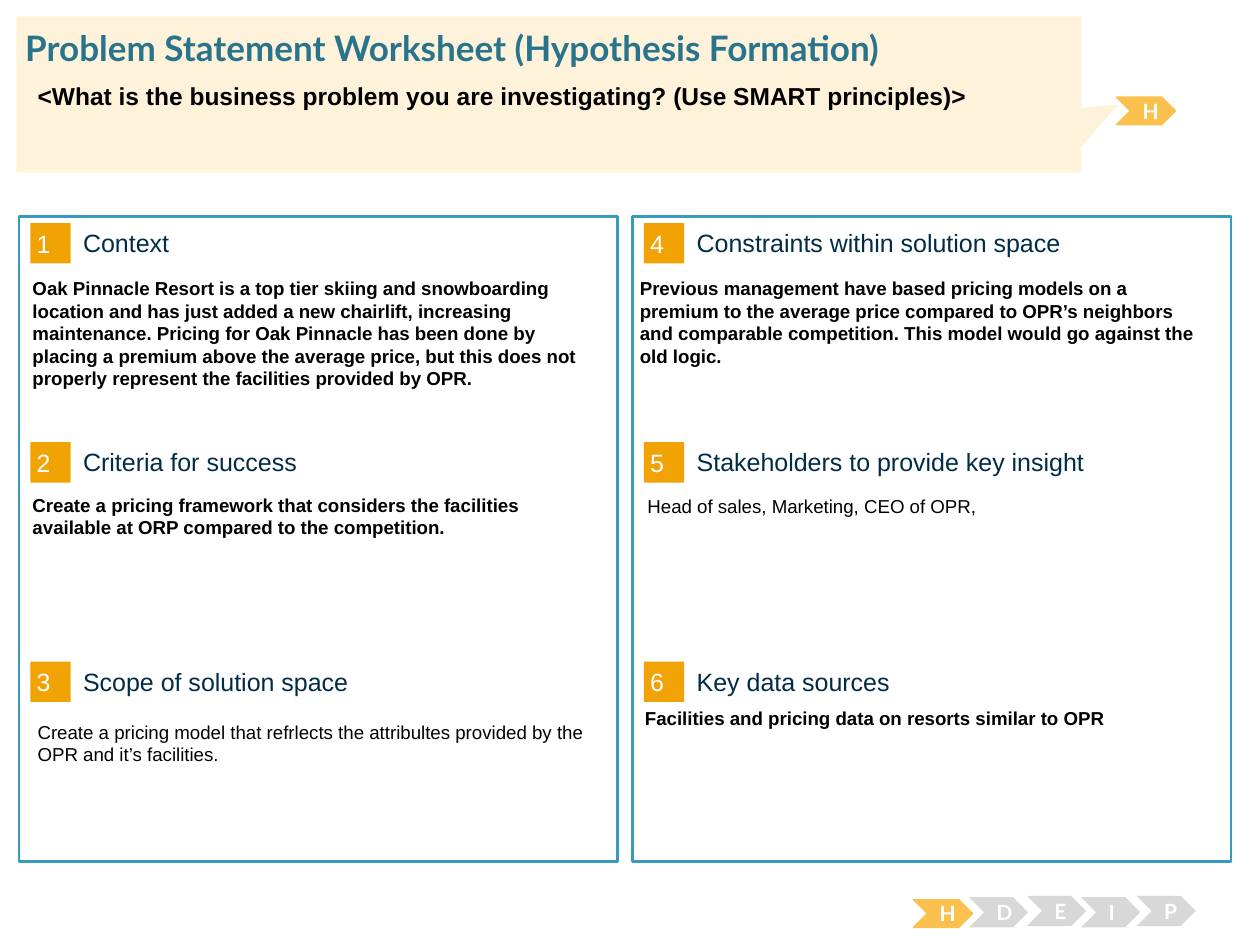
from pptx import Presentation
from pptx.dml.color import RGBColor
from pptx.enum import shapes, text
from pptx.util import Inches, Pt

WHITE = RGBColor(0xFF, 0xFF, 0xFF)
BLACK = RGBColor(0, 0, 0)
BLUE = RGBColor(0x37, 0x9B, 0xBD)
TEAL = RGBColor(0x29, 0x74, 0x8D)
NAVY = RGBColor(0x00, 0x2C, 0x46)
ORANGE = RGBColor(0xF1, 0xA2, 0x05)
AMBER = RGBColor(0xFB, 0xC1, 0x4E)
CREAM = RGBColor(0xFE, 0xF2, 0xDA)
GREY = RGBColor(0xD8, 0xD8, 0xD8)

COLUMN_GAP = 4.87
ROW_TOP, ROW_GAP = 1.77, 1.74

SECTIONS = [
    ("Context", 0.16, 2.15, 1.36, True,
     "Oak Pinnacle Resort is a top tier skiing and snowboarding location and has just "
     "added a new chairlift, increasing maintenance. Pricing for Oak Pinnacle has been "
     "done by placing a premium above the average price, but this does not properly "
     "represent the facilities provided by OPR."),
    ("Criteria for success", 0.16, 3.87, 1.54, True,
     "Create a pricing framework that considers the facilities available at ORP "
     "compared to the competition."),
    ("Scope of solution space", 0.2, 5.67, 0.82, False,
     "Create a pricing model that refrlects the attribultes provided by the OPR and "
     "it’s facilities."),
    ("Constraints within solution space", 4.98, 2.15, 1.18, True,
     "Previous management have based pricing models on a premium to the average price "
     "compared to OPR’s neighbors and comparable competition. This model would go "
     "against the old logic."),
    ("Stakeholders to provide key insight", 5.04, 3.88, 1.18, False,
     "Head of sales, Marketing, CEO of OPR,"),
    ("Key data sources", 5.02, 5.56, 1.18, True,
     "Facilities and pricing data on resorts similar to OPR"),
]

STAGES = [("D", 7.69, 7.12), ("E", 8.15, 7.11), ("I", 8.58, 7.12), ("P", 9.02, 7.11)]


def write(sp, words, size, color, bold=False, font="Arial", insets=(0.1, 0.05),
          anchor=text.MSO_ANCHOR.TOP, align=text.PP_ALIGN.LEFT):
    tf = sp.text_frame
    tf.word_wrap = True
    tf.auto_size = text.MSO_AUTO_SIZE.NONE
    tf.vertical_anchor = anchor
    tf.margin_left = tf.margin_right = Inches(insets[0])
    tf.margin_top = tf.margin_bottom = Inches(insets[1])
    p = tf.paragraphs[0]
    p.text = words
    p.alignment = align
    p.font.size = Pt(size)
    p.font.name = font
    p.font.bold = bold
    p.font.color.rgb = color


def add_box(s, kind, x, y, w, h, fill, line=None, width=0.75):
    sp = s.shapes.add_shape(kind, Inches(x), Inches(y), Inches(w), Inches(h))
    sp.shadow.inherit = False
    sp.fill.solid()
    sp.fill.fore_color.rgb = fill
    if line is None:
        sp.line.fill.background()
    else:
        sp.line.color.rgb = line
        sp.line.width = Pt(width)
    return sp


def add_text(s, x, y, w, h, words, size, color, **style):
    sp = s.shapes.add_textbox(Inches(x), Inches(y), Inches(w), Inches(h))
    write(sp, words, size, color, **style)


def add_chevron(s, letter, x, y, h, fill, line=None):
    sp = add_box(s, shapes.MSO_SHAPE.CHEVRON, x, y, 0.47, h, fill, line)
    write(sp, letter, 12, WHITE, bold=True, font="Lato",
          anchor=text.MSO_ANCHOR.MIDDLE, align=text.PP_ALIGN.CENTER)


def add_section(s, index, heading, x, y, h, bold, body):
    column, row = divmod(index, 3)
    left = 0.24 + column * COLUMN_GAP
    top = ROW_TOP + row * ROW_GAP
    badge = add_box(s, shapes.MSO_SHAPE.RECTANGLE, left, top, 0.32, 0.32, ORANGE)
    write(badge, str(index + 1), 14.3, WHITE, insets=(0.05, 0.05),
          anchor=text.MSO_ANCHOR.MIDDLE)
    add_text(s, left + 0.42, top + 0.03, 3.93, 0.25, heading, 14.3, NAVY,
             insets=(0, 0), anchor=text.MSO_ANCHOR.MIDDLE)
    add_text(s, x, y, 4.73, h, body, 10.7, BLACK, bold=bold)


def add_header(s):
    callout = add_box(s, shapes.MSO_SHAPE.RECTANGULAR_CALLOUT,
                      0.13, 0.13, 8.45, 1.24, CREAM)
    callout.adjustments[0] = 0.535
    callout.adjustments[1] = 0.066
    title = s.shapes.title
    title.left, title.top = Inches(0.2), Inches(0.21)
    title.width, title.height = Inches(9.62), Inches(0.34)
    write(title, "Problem Statement Worksheet (Hypothesis Formation)", 20, TEAL,
          bold=True, font="Lato", insets=(0, 0))
    callout.element.addnext(title.element)
    add_text(s, 0.2, 0.59, 9.39, 0.54,
             "<What is the business problem you are investigating? (Use SMART principles)>",
             14, BLACK, bold=True)


def main():
    prs = Presentation()
    prs.slide_width, prs.slide_height = Inches(10), Inches(7.5)
    s = prs.slides.add_slide(prs.slide_layouts[5])
    for x in (0.15, 0.15 + COLUMN_GAP):
        add_box(s, shapes.MSO_SHAPE.RECTANGLE, x, 1.72, 4.75, 5.12, WHITE, BLUE, 1.5)
    for index, section in enumerate(SECTIONS):
        add_section(s, index, *section)
    for x, y in ((7.25, 7.14), (8.86, 0.77)):
        add_chevron(s, "H", x, y, 0.22, AMBER, AMBER)
    for letter, x, y in STAGES:
        add_chevron(s, letter, x, y, 0.24, GREY)
    add_header(s)
    prs.save("out.pptx")


if __name__ == "__main__":
    main()
